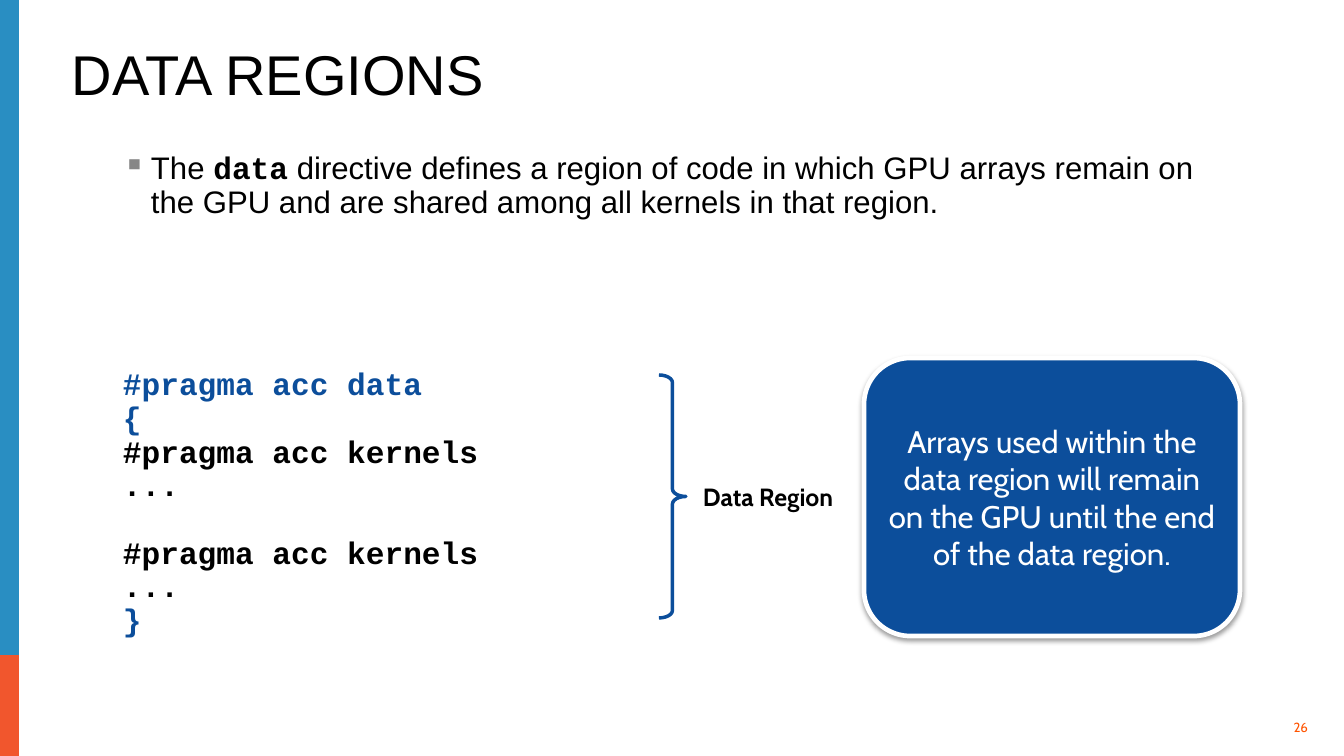
from lxml import etree
from pptx import Presentation
from pptx.dml.color import RGBColor
from pptx.enum.shapes import MSO_SHAPE
from pptx.enum.text import MSO_ANCHOR, PP_ALIGN
from pptx.oxml import parse_xml
from pptx.oxml.ns import nsdecls, qn
from pptx.util import Pt

EMU_PER_PX = 914400 / 112
BLACK = RGBColor(0x00, 0x00, 0x00)
WHITE = RGBColor(0xFF, 0xFF, 0xFF)
NAVY = RGBColor(0x0C, 0x4E, 0x9B)
SKY = RGBColor(0x29, 0x8E, 0xC2)
ORANGE = RGBColor(0xF1, 0x56, 0x2D)
PAGE_ORANGE = RGBColor(0xFF, 0x54, 0x00)
SANS, MONO, LABEL = "Arial", "Courier New", "Cabin"
BODY_SIZE = 20
LINE_SPACING = 0.9

# Code lines: text, colour, space before in points
CODE = [
    ("#pragma acc data", NAVY, 0),
    ("{", NAVY, 0),
    ("#pragma acc kernels", BLACK, 0),
    ("...", BLACK, 0),
    ("#pragma acc kernels", BLACK, 21.7),
    ("...", BLACK, 0),
    ("}", NAVY, 0),
]


def px(length):
    return round(length * EMU_PER_PX)


class SlideBuilder:
    def __init__(self, slide):
        self.slide = slide

    def style(self, item, font, size, color, bold=False):
        item.font.name = font
        item.font.size = Pt(size)
        item.font.color.rgb = color
        item.font.bold = bold

    def shape(self, kind, left, top, width, height, fill=None, line=None, weight=1):
        shape = self.slide.shapes.add_shape(kind, px(left), px(top), px(width), px(height))
        shape.shadow.inherit = False
        if fill is None:
            shape.fill.background()
        else:
            shape.fill.solid()
            shape.fill.fore_color.rgb = fill
        if line is None:
            shape.line.fill.background()
        else:
            shape.line.color.rgb = line
            shape.line.width = Pt(weight)
        return shape

    def text_box(self, left, top, width, height, anchor=MSO_ANCHOR.TOP):
        box = self.slide.shapes.add_textbox(px(left), px(top), px(width), px(height))
        frame = box.text_frame
        frame.word_wrap = True
        frame.vertical_anchor = anchor
        frame.margin_left = frame.margin_right = 0
        frame.margin_top = frame.margin_bottom = 0
        return frame

    def label(self, text, bounds, font, size, color, bold=False,
              align=PP_ALIGN.LEFT, anchor=MSO_ANCHOR.MIDDLE):
        frame = self.text_box(*bounds, anchor=anchor)
        frame.text = text
        paragraph = frame.paragraphs[0]
        paragraph.alignment = align
        self.style(paragraph.runs[0], font, size, color, bold)
        return paragraph

    def bullet(self, parts, bounds):
        paragraph = self.text_box(*bounds).paragraphs[0]
        properties = paragraph._p.get_or_add_pPr()
        properties.set("marL", str(px(28)))
        properties.set("indent", str(-px(28)))
        color = etree.SubElement(properties, qn("a:buClr"))
        etree.SubElement(color, qn("a:srgbClr"), val="868686")
        etree.SubElement(properties, qn("a:buChar"), char="▪")
        paragraph.line_spacing = LINE_SPACING
        for text, font, bold in parts:
            run = paragraph.add_run()
            run.text = text
            self.style(run, font, BODY_SIZE, BLACK, bold)

    def code(self, lines, bounds):
        frame = self.text_box(*bounds)
        frame.text = "\n".join(text for text, _, _ in lines)
        for paragraph, (_, color, before) in zip(frame.paragraphs, lines):
            paragraph.line_spacing = LINE_SPACING
            paragraph.space_before = Pt(before)
            self.style(paragraph.runs[0], MONO, BODY_SIZE, color, True)

    def callout(self, text, bounds):
        shape = self.shape(MSO_SHAPE.ROUNDED_RECTANGLE, *bounds, NAVY, WHITE, 3)
        effects = shape._element.spPr.find(qn("a:effectLst"))
        effects.append(parse_xml(
            f'<a:outerShdw {nsdecls("a")} blurRad="{Pt(3.1)}" dist="{Pt(1.6)}" '
            'dir="5400000" rotWithShape="0"><a:srgbClr val="000000">'
            '<a:alpha val="38000"/></a:srgbClr></a:outerShdw>'))
        frame = shape.text_frame
        frame.text = text
        frame.word_wrap = True
        frame.vertical_anchor = MSO_ANCHOR.MIDDLE
        frame.paragraphs[0].alignment = PP_ALIGN.CENTER
        self.style(frame.paragraphs[0].runs[0], LABEL, BODY_SIZE, WHITE)


def main():
    presentation = Presentation()
    presentation.slide_width, presentation.slide_height = px(1344), px(756)
    builder = SlideBuilder(presentation.slides.add_slide(presentation.slide_layouts[6]))

    # Side stripe and page number
    builder.shape(MSO_SHAPE.RECTANGLE, 0, 655, 19, 101, ORANGE)
    builder.shape(MSO_SHAPE.RECTANGLE, 0, 0, 19, 655, SKY)
    builder.label("26", (1273, 717, 35, 20), LABEL, 8.5, PAGE_ORANGE, align=PP_ALIGN.RIGHT)

    # Title and bullet
    title = builder.label("DATA REGIONS", (72, 41, 1200, 67), SANS, 36, BLACK,
                          anchor=MSO_ANCHOR.BOTTOM)
    title.line_spacing = LINE_SPACING
    builder.bullet([
        ("The ", SANS, False),
        ("data", MONO, True),
        (" directive defines a region of code in which GPU arrays remain on the GPU "
         "and are shared among all kernels in that region.", SANS, False),
    ], (123, 153, 1099, 75))

    # Code with its brace
    builder.code(CODE, (123, 369, 520, 275))
    brace = builder.shape(MSO_SHAPE.RIGHT_BRACE, 659, 375, 27, 243, line=NAVY, weight=2.25)
    brace.adjustments[0] = 0.28
    builder.label("Data Region", (703, 476, 143, 41), LABEL, 16, BLACK, True)

    # Callout
    builder.callout("Arrays used within the data region will remain on the GPU "
                    "until the end of the data region.", (864, 358, 376, 278))

    presentation.save("out.pptx")


if __name__ == "__main__":
    main()
